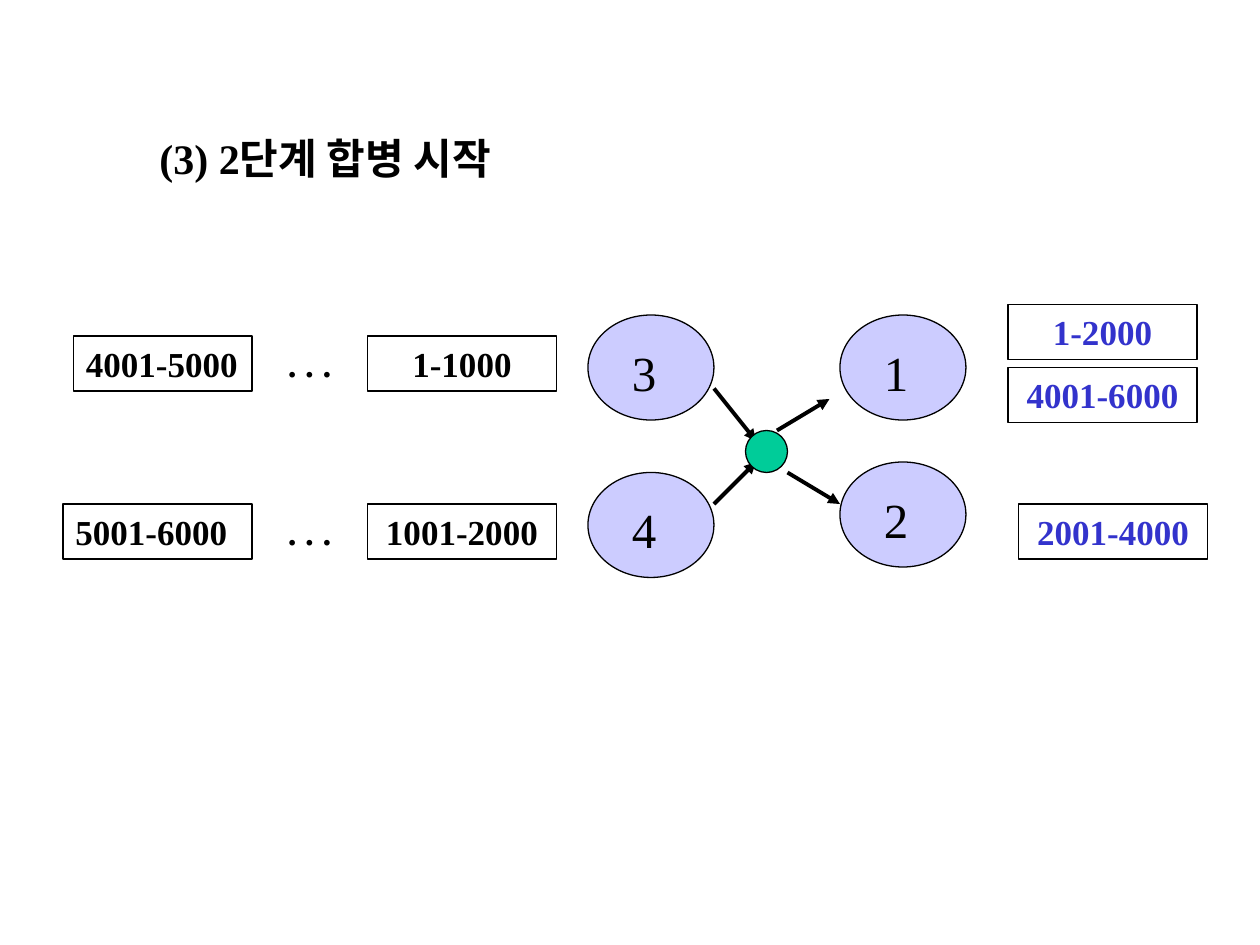
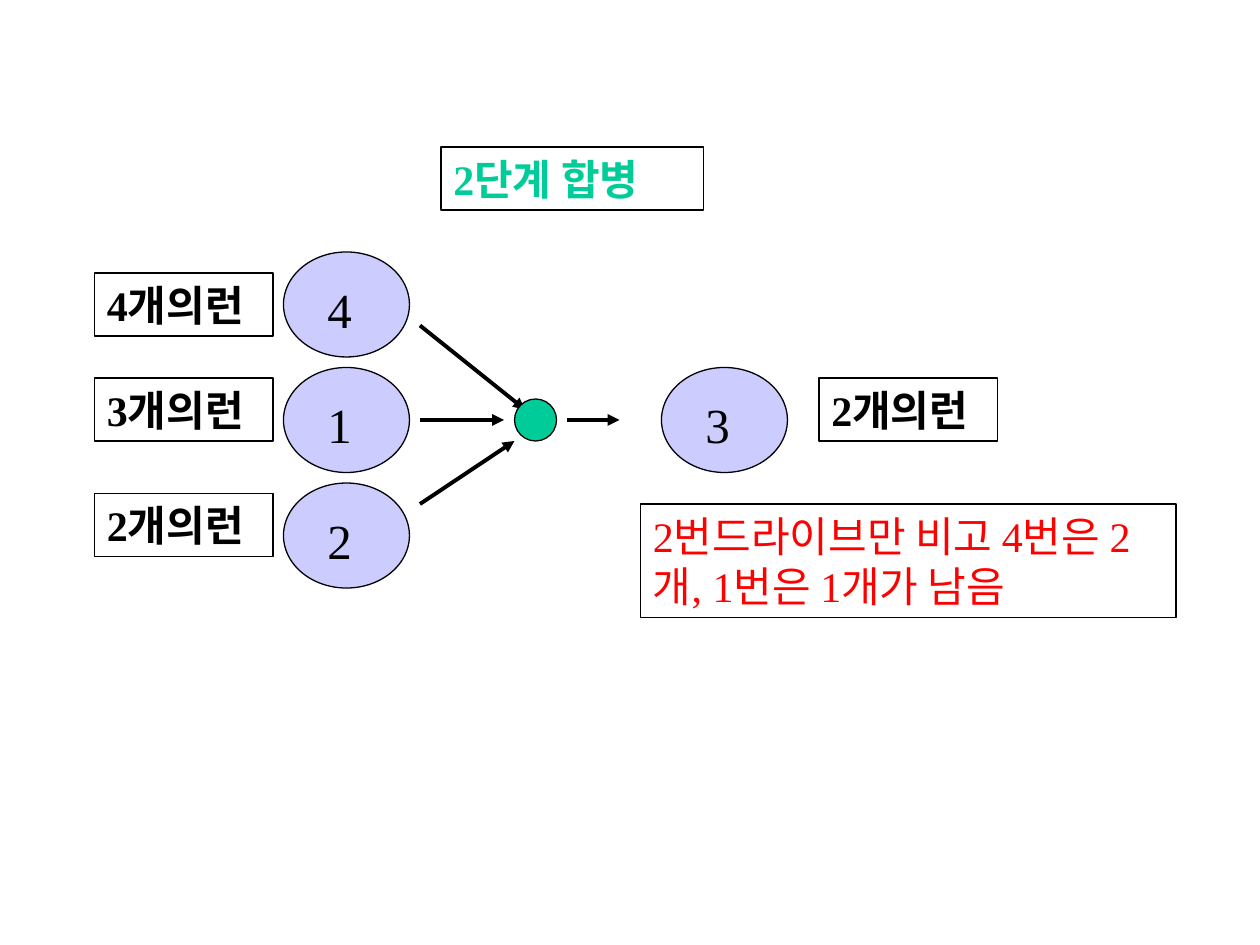
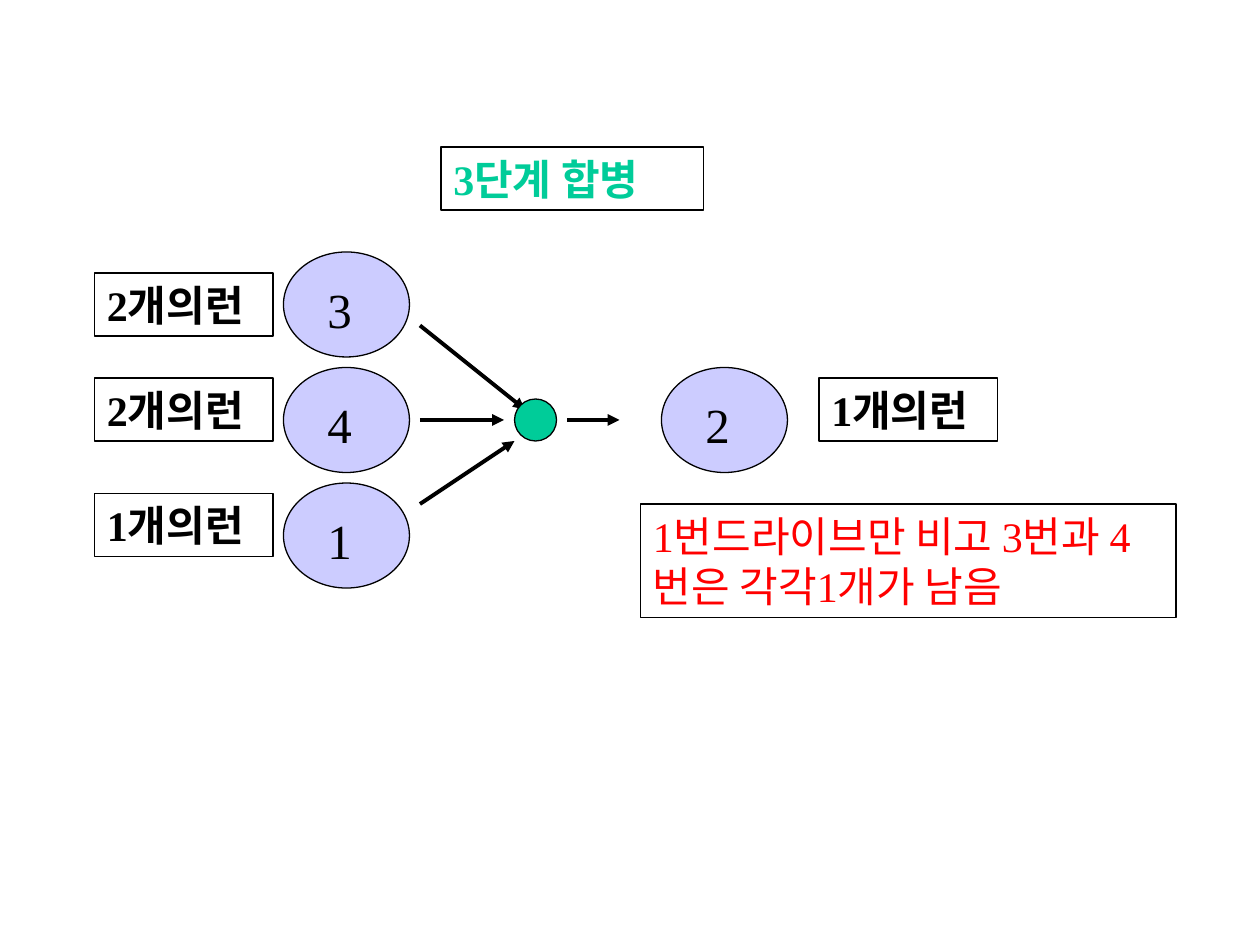
from dataclasses import dataclass

from lxml.etree import SubElement
from pptx import Presentation
from pptx.dml.color import RGBColor
from pptx.enum.shapes import MSO_CONNECTOR, MSO_SHAPE
from pptx.enum.text import MSO_ANCHOR, PP_ALIGN
from pptx.oxml.ns import qn
from pptx.util import Pt


@dataclass(frozen=True)
class Theme:
    font: str = "Times New Roman"
    ink: str = "000000"
    paper: str = "FFFFFF"
    drive: str = "CCCCFF"
    merge: str = "00CC99"
    result: str = "3333CC"
    remark: str = "FF0000"
    range_size: int = 20
    body_size: int = 24
    digit_size: int = 28
    outline: float = 0.75
    arrow: float = 2.25


THEME = Theme()
RANGE_HEIGHT = 31.5
LABEL_HEIGHT = 36


def write(shape, text, size, color=THEME.ink, bold=False, align=PP_ALIGN.LEFT):
    frame = shape.text_frame
    frame.word_wrap = True
    frame.vertical_anchor = MSO_ANCHOR.TOP
    frame.margin_left = frame.margin_right = Pt(7.2)
    frame.margin_top = frame.margin_bottom = Pt(3.6)
    frame.text = text
    para = frame.paragraphs[0]
    para.alignment = align
    span = para.runs[0]
    span.font.name = THEME.font
    span.font.size = Pt(size)
    span.font.bold = bold
    span.font.color.rgb = RGBColor.from_string(color)


def add_outlined(page, kind, left, top, width, height, fill=None, line=THEME.ink):
    shape = page.shapes.add_shape(kind, Pt(left), Pt(top), Pt(width), Pt(height))
    shape.shadow.inherit = False
    if fill:
        shape.fill.solid()
        shape.fill.fore_color.rgb = RGBColor.from_string(fill)
    else:
        shape.fill.background()
    shape.line.color.rgb = RGBColor.from_string(line)
    shape.line.width = Pt(THEME.outline)
    return shape


def add_text(page, left, top, width, height, text, size, bold=False):
    box = page.shapes.add_textbox(Pt(left), Pt(top), Pt(width), Pt(height))
    write(box, text, size, bold=bold)


def add_drive(page, left, top, number):
    add_outlined(page, MSO_SHAPE.OVAL, left, top, 72, 60, THEME.drive)
    add_text(page, left + 18, top + 12, 36, 41, number, THEME.digit_size)


def add_hub(page, left, top):
    add_outlined(page, MSO_SHAPE.OVAL, left, top, 24, 24, THEME.merge)


def add_range(page, left, top, width, text, color=THEME.ink,
              align=PP_ALIGN.CENTER, line=THEME.ink):
    box = add_outlined(page, MSO_SHAPE.RECTANGLE, left, top, width, RANGE_HEIGHT, line=line)
    write(box, text, THEME.range_size, color, True, align)


def add_label(page, left, top, width, text, color=THEME.ink,
              bold=True, height=LABEL_HEIGHT):
    box = add_outlined(page, MSO_SHAPE.RECTANGLE, left, top, width, height)
    write(box, text, THEME.body_size, color, bold)


def add_arrows(page, arrows):
    """Draw arrows given as (start x, start y, end x, end y)."""
    for ends in arrows:
        arrow = page.shapes.add_connector(MSO_CONNECTOR.STRAIGHT, *map(Pt, ends))
        arrow.line.color.rgb = RGBColor.from_string(THEME.ink)
        arrow.line.width = Pt(THEME.arrow)
        SubElement(arrow.line._get_or_add_ln(), qn("a:tailEnd"), type="triangle")
        SubElement(arrow._element.spPr, qn("a:effectLst"))


def add_page(deck):
    return deck.slides.add_slide(deck.slide_layouts[6])


def build_merge_start(deck):
    page = add_page(deck)
    add_text(page, 84, 72, 444, LABEL_HEIGHT, "(3) 2단계 합병 시작", THEME.body_size, True)

    for left, top, number in ((336, 180, "3"), (336, 270, "4"),
                              (480, 180, "1"), (480, 264, "2")):
        add_drive(page, left, top, number)

    for top, left, last, first in ((192, 42, "4001-5000", "1-1000"),
                                   (288, 36, "5001-6000", "1001-2000")):
        add_range(page, left, top, 144 - left, last, align=PP_ALIGN.LEFT)
        add_range(page, 156, top, 42, ". . .", line=THEME.paper)
        add_range(page, 210, top, 108, first)

    for left, top, text in ((576, 174, "1-2000"), (576, 210, "4001-6000"),
                            (582, 288, "2001-4000")):
        add_range(page, left, top, 108, text, THEME.result)

    add_arrows(page, ((408, 222, 432, 252), (408, 288, 432, 264),
                      (444, 246, 474, 228), (450, 270, 480, 288)))
    add_hub(page, 426, 246)


def build_merge_stage(deck, title, inputs, output, remark):
    """Merge three input drives into one; each drive is (number, runs)."""
    page = add_page(deck)
    add_label(page, 252, 84, 150, title, THEME.merge)

    for index, (label_top, (number, runs)) in enumerate(zip((156, 216, 282), inputs)):
        add_drive(page, 162, 144 + 66 * index, number)
        add_label(page, 54, label_top, 102, runs)

    add_arrows(page, ((240, 186, 300, 234), (240, 240, 288, 240),
                      (240, 288, 294, 252), (324, 240, 354, 240)))
    add_hub(page, 294, 228)

    number, runs = output
    add_drive(page, 378, 210, number)
    add_label(page, 468, 216, 102, runs)
    add_label(page, 366, 288, 306, remark, THEME.remark, False, 65)


def main():
    deck = Presentation()
    deck.slide_width, deck.slide_height = Pt(720), Pt(540)
    build_merge_start(deck)
    build_merge_stage(
        deck, "2단계 합병",
        (("4", "4개의런"), ("1", "3개의런"), ("2", "2개의런")),
        ("3", "2개의런"),
        "2번드라이브만 비고 4번은 2개, 1번은 1개가 남음")
    build_merge_stage(
        deck, "3단계 합병",
        (("3", "2개의런"), ("4", "2개의런"), ("1", "1개의런")),
        ("2", "1개의런"),
        "1번드라이브만 비고 3번과 4번은 각각1개가 남음")
    deck.save("out.pptx")


if __name__ == "__main__":
    main()
